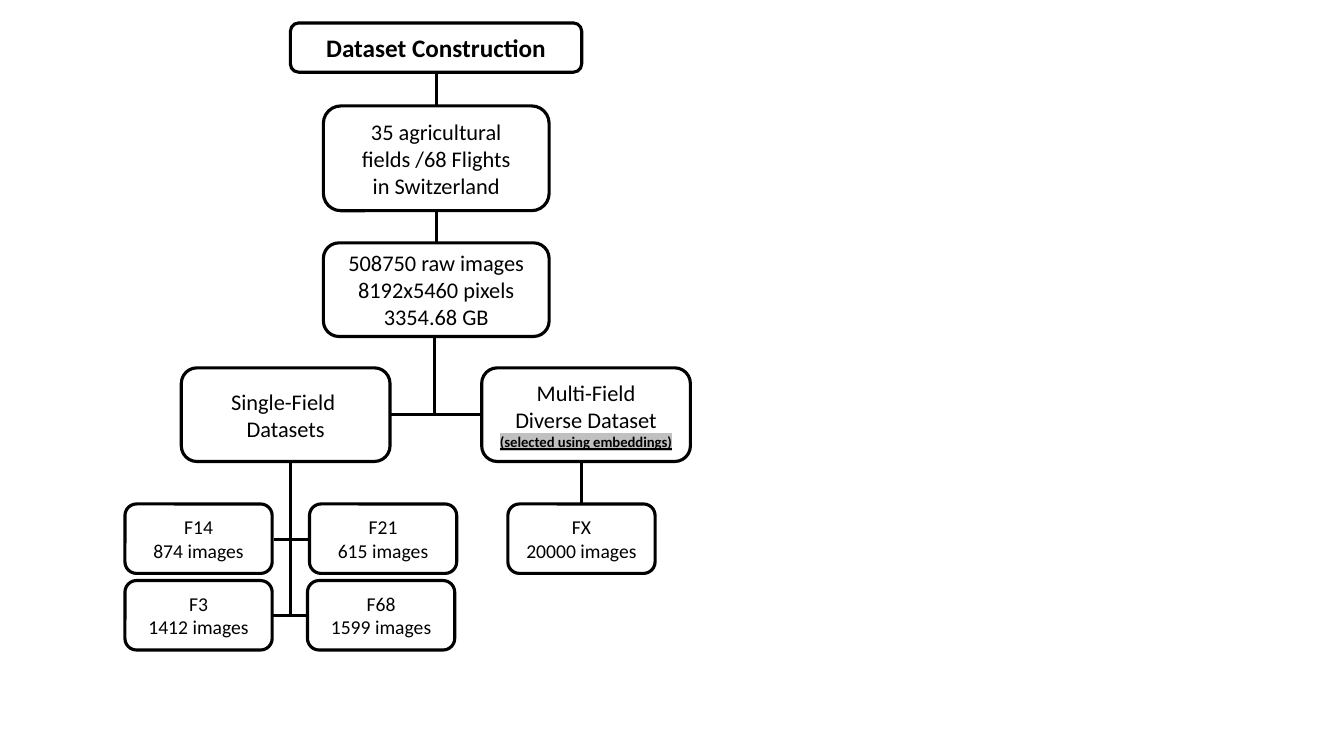
import pptx
import pptx.util
import pptx.dml.color
import pptx.enum.shapes
import pptx.enum.text
import pptx.oxml
import pptx.oxml.ns
from dataclasses import dataclass

Cm = pptx.util.Cm
Pt = pptx.util.Pt


@dataclass(frozen=True)
class Theme:
    font: str = "Calibri"
    ink: str = "000000"
    paper: str = "FFFFFF"
    marker: str = "C0C0C0"
    line: float = 2.25
    title: float = 18
    body: float = 16
    leaf: float = 14
    note: float = 10.5


class Chart:
    """Draws boxes and links on one slide."""

    def __init__(self, slide, theme):
        self.slide = slide
        self.theme = theme

    def color(self, code):
        return pptx.dml.color.RGBColor.from_string(code)

    def stroke(self, line):
        line.color.rgb = self.color(self.theme.ink)
        line.width = Pt(self.theme.line)

    def box(self, left, top, width, height, text, size, bold=False):
        kind = pptx.enum.shapes.MSO_SHAPE.ROUNDED_RECTANGLE
        shape = self.slide.shapes.add_shape(
            kind, Cm(left), Cm(top), Cm(width), Cm(height))
        shape.shadow.inherit = False
        shape.fill.solid()
        shape.fill.fore_color.rgb = self.color(self.theme.paper)
        self.stroke(shape.line)
        frame = shape.text_frame
        frame.word_wrap = True
        frame.vertical_anchor = pptx.enum.text.MSO_ANCHOR.MIDDLE
        frame.text = text
        for para in frame.paragraphs:
            para.alignment = pptx.enum.text.PP_ALIGN.CENTER
            for run in para.runs:
                run.font.name = self.theme.font
                run.font.size = Pt(size)
                run.font.bold = bold
                run.font.color.rgb = self.color(self.theme.ink)
        return shape

    def mark(self, run):
        """Set a run as a small note with a marker behind it."""
        run.font.size = Pt(self.theme.note)
        run.font.bold = True
        run.font.underline = True
        space = pptx.oxml.ns.nsdecls("a")
        glow = pptx.oxml.parse_xml(
            f'<a:highlight {space}><a:srgbClr val="{self.theme.marker}"/></a:highlight>')
        props = run.font.fill._xPr
        props.find(pptx.oxml.ns.qn("a:solidFill")).addnext(glow)

    def link(self, left, top, right, foot):
        kind = pptx.enum.shapes.MSO_CONNECTOR.STRAIGHT
        line = self.slide.shapes.add_connector(
            kind, Cm(left), Cm(top), Cm(right), Cm(foot))
        self.stroke(line.line)
        space = pptx.oxml.ns.nsdecls("a")
        line._element.spPr.append(pptx.oxml.parse_xml(f"<a:effectLst {space}/>"))


def main():
    deck = pptx.Presentation()
    deck.slide_width = Cm(33.87)
    deck.slide_height = Cm(19.05)
    theme = Theme()
    chart = Chart(deck.slides.add_slide(deck.slide_layouts[6]), theme)

    # Source data
    chart.box(8.15, 2.67, 5.69, 2.64,
              "35 agricultural fields /68 Flights\nin Switzerland", theme.body)
    chart.box(8.15, 6.12, 5.69, 2.36,
              "508750 raw images\n8192x5460 pixels\n3354.68 GB", theme.body)

    # Two kinds of dataset
    chart.box(4.57, 9.27, 5.26, 2.36, "Single-Field \nDatasets", theme.body)
    multi = chart.box(
        12.14, 9.27, 5.26, 2.36,
        "Multi-Field\nDiverse Dataset\n(selected using embeddings)", theme.body)
    chart.mark(multi.text_frame.paragraphs[-1].runs[0])

    # Final sets
    upper, lower = 12.7, 14.63
    leaves = [
        (3.15, upper, "F14", 874),
        (7.8, upper, "F21", 615),
        (3.15, lower, "F3", 1412),
        (7.75, lower, "F68", 1599),
        (12.8, upper, "FX", 20000),
    ]
    for left, top, name, count in leaves:
        chart.box(left, top, 3.71, 1.75, f"{name}\n{count} images", theme.leaf)

    # Upright links: x, top, foot
    for x, top, foot in [
        (11, 1.83, 2.67),
        (11, 5.31, 6.12),
        (10.96, 8.47, 10.45),
        (7.32, 11.62, 15.52),
        (14.66, 11.62, 12.7),
    ]:
        chart.link(x, top, x, foot)

    # Level links: y, left, right
    for y, left, right in [
        (10.45, 9.85, 12.14),
        (15.52, 6.86, 7.75),
        (13.59, 6.9, 7.8),
    ]:
        chart.link(left, y, right, y)

    # Title
    chart.box(7.32, 0.58, 7.34, 1.24, "Dataset Construction", theme.title, bold=True)

    deck.save("out.pptx")


if __name__ == "__main__":
    main()
